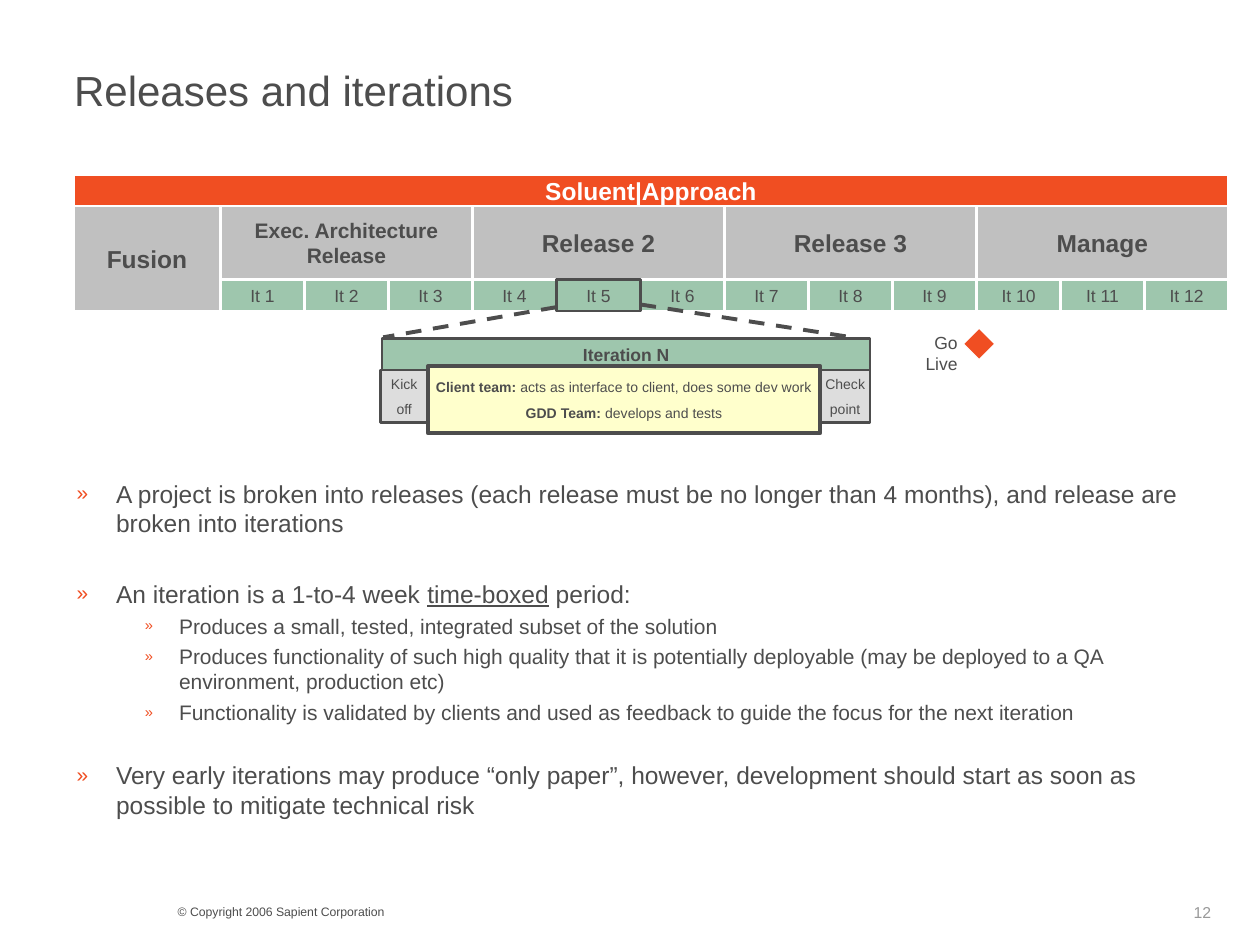
from lxml import etree
from pptx import Presentation
from pptx.dml.color import RGBColor
from pptx.enum.dml import MSO_LINE
from pptx.enum.shapes import MSO_CONNECTOR, MSO_SHAPE
from pptx.enum.text import MSO_ANCHOR, PP_ALIGN
from pptx.oxml.ns import qn
from pptx.util import Pt

RECTANGLE, DIAMOND = MSO_SHAPE.RECTANGLE, MSO_SHAPE.DIAMOND
STRAIGHT, DASH = MSO_CONNECTOR.STRAIGHT, MSO_LINE.DASH
TOP, MIDDLE = MSO_ANCHOR.TOP, MSO_ANCHOR.MIDDLE
LEFT, CENTER, RIGHT = PP_ALIGN.LEFT, PP_ALIGN.CENTER, PP_ALIGN.RIGHT

EMU_PER_PX = 9525
COLORS = {
    "text": "4D4D4D",
    "muted": "999999",
    "white": "FFFFFF",
    "orange": "F04E22",
    "grey": "C0C0C0",
    "pale": "DDDDDD",
    "green": "9EC6AD",
    "yellow": "FFFFCC",
}


def px(*lengths):
    return [length * EMU_PER_PX for length in lengths]


def rgb(name):
    return RGBColor.from_string(COLORS[name])


class SlideBuilder:
    """Holds the text style and the current slide."""

    font_name = "Arial"

    def __init__(self, page):
        self.page = page

    def add_spans(self, paragraph, spans, size, color="text", **formats):
        """Add spans, each a string or a (string, formats) pair."""
        for span in spans:
            words, extra = (span, {}) if isinstance(span, str) else span
            run = paragraph.add_run()
            run.text = words
            values = {"name": self.font_name, "size": Pt(size), **formats, **extra}
            for name, value in values.items():
                setattr(run.font, name, value)
            run.font.color.rgb = rgb(color)

    def fill_frame(self, frame, lines, size, align, anchor, wrap, gap=0,
                   spacing=None, **formats):
        frame.word_wrap = wrap
        frame.vertical_anchor = anchor
        for index, spans in enumerate(lines):
            paragraph = frame.paragraphs[0] if index == 0 else frame.add_paragraph()
            layout = {
                "alignment": align,
                "line_spacing": spacing,
                "space_before": Pt(gap if index else 0),
            }
            for name, value in layout.items():
                setattr(paragraph, name, value)
            self.add_spans(paragraph, spans, size, **formats)

    def text(self, area, words, size, align=LEFT, anchor=TOP, wrap=True, **formats):
        box = self.page.shapes.add_textbox(*px(*area))
        self.fill_frame(box.text_frame, [[words]], size, align, anchor, wrap, **formats)

    def shape(self, area, fill, lines=(), size=10, kind=RECTANGLE, line="white",
              width=1.5, wrap=False, **formats):
        shape = self.page.shapes.add_shape(kind, *px(*area))
        shape.shadow.inherit = False
        shape.fill.solid()
        shape.fill.fore_color.rgb = rgb(fill)
        shape.line.color.rgb = rgb(line)
        shape.line.width = Pt(width)
        self.fill_frame(shape.text_frame, lines, size, CENTER, MIDDLE, wrap, **formats)

    def dashed_line(self, start, end):
        connector = self.page.shapes.add_connector(STRAIGHT, *px(*start, *end))
        connector.line.color.rgb = rgb("text")
        connector.line.width = Pt(2.25)
        connector.line.dash_style = DASH
        properties = connector._element.find(qn("p:spPr"))
        etree.SubElement(properties, qn("a:effectLst"))

    def bullets(self, area, items, levels):
        """Add a bulleted list; each item is (level, space before, spans)."""
        frame = self.page.shapes.add_textbox(*px(*area)).text_frame
        frame.word_wrap = True
        for index, (level, gap, spans) in enumerate(items):
            paragraph = frame.paragraphs[0] if index == 0 else frame.add_paragraph()
            style = levels[level]
            paragraph.level = level
            paragraph.space_before = Pt(gap)
            properties = paragraph._p.get_or_add_pPr()
            margin, hanging = px(style["margin"], style["hanging"])
            properties.set("marL", str(margin))
            properties.set("indent", str(-hanging))
            color = etree.SubElement(properties, qn("a:buClr"))
            etree.SubElement(color, qn("a:srgbClr"), val=COLORS["orange"])
            etree.SubElement(properties, qn("a:buSzPct"), val=str(style["percent"] * 1000))
            etree.SubElement(properties, qn("a:buFont"), typeface=self.font_name)
            etree.SubElement(properties, qn("a:buChar"), char="»")
            self.add_spans(paragraph, spans, style["size"])


def main():
    deck = Presentation()
    deck.slide_width, deck.slide_height = px(960, 720)
    builder = SlideBuilder(deck.slides.add_slide(deck.slide_layouts[6]))

    # Title and footer
    builder.text((47, 42, 865, 53), "Releases and iterations", 24, anchor=MIDDLE)
    builder.text((126, 684, 384, 21), "© Copyright 2006 Sapient Corporation", 7)
    builder.text((900, 683, 72, 23), "12", 9, color="muted")

    # Phase grid
    left, top, row = 56, 133, 24
    fusion_width, release_width, release_height = 112, 192, 56
    iteration_width = release_width // 3
    first_release = left + fusion_width
    release_top = top + row
    iteration_top = release_top + release_height
    releases = [("Exec. Architecture Release", 12), ("Release 2", 14),
                ("Release 3", 14), ("Manage", 14)]
    grid_width = fusion_width + len(releases) * release_width

    builder.shape((left, top, grid_width, row), "orange", [["Soluent|Approach"]], 14,
                  color="white", bold=True)
    builder.shape((left, release_top, fusion_width, release_height + row), "grey",
                  [["Fusion"]], 14, bold=True)
    for index, (name, size) in enumerate(releases):
        area = (first_release + index * release_width, release_top,
                release_width, release_height)
        builder.shape(area, "grey", [[name]], size, wrap=True, bold=True)

    def iteration(number, line="white"):
        area = (first_release + (number - 1) * iteration_width, iteration_top,
                iteration_width, row)
        builder.shape(area, "green", [[f"It {number}"]], line=line)

    expanded = 5
    for number in range(1, 3 * len(releases) + 1):
        if number != expanded:
            iteration(number)

    # Zoom into one iteration
    builder.dashed_line((424, 234), (292, 257))
    builder.dashed_line((488, 232), (649, 257))
    iteration(expanded, line="text")
    detail = {"line": "text", "spacing": 1.01}
    builder.shape((291, 258, 372, 24), "green", [["Iteration N"]], bold=True, **detail)
    for area, words in [((290, 282, 36, 40), ("Kick", "off")),
                        ((625, 282, 38, 40), ("Check", "point"))]:
        builder.shape(area, "pale", [[word] for word in words], 8, gap=5, **detail)
    bold = {"bold": True}
    teams = [
        [("Client team:", bold), " acts as interface to client, does some dev work"],
        [("GDD Team:", bold), " develops and tests"],
    ]
    builder.shape((326, 279, 299, 51), "yellow", teams, 8, width=2.25, gap=5, **detail)

    # Go-live milestone
    builder.shape((734, 250, 24, 24), "orange", kind=DIAMOND, width=0.75)
    builder.text((675, 248, 64, 26), "Go Live", 10, align=RIGHT, wrap=False, spacing=1.01)

    # Explanation
    levels = [
        {"margin": 30, "hanging": 30, "percent": 85, "size": 14},
        {"margin": 78, "hanging": 26, "percent": 70, "size": 12},
    ]
    builder.bullets((49, 360, 863, 335), [
        (0, 0, ["A project is broken into releases (each release must be no longer "
                "than 4 months), and release are broken into iterations"]),
        (0, 23.5, ["An iteration is a 1-to-4 week ", ("time-boxed", {"underline": True}),
                   " period:"]),
        (1, 3, ["Produces a small, tested, integrated subset of the solution"]),
        (1, 3, ["Produces functionality of such high quality that it is potentially "
                "deployable (may be deployed to a QA environment, production etc)"]),
        (1, 3, ["Functionality is validated by clients and used as feedback to guide "
                "the focus for the next iteration"]),
        (0, 20.5, ["Very early iterations may produce “only paper”, however, development "
                   "should start as soon as possible to mitigate technical risk"]),
    ], levels)

    deck.save("out.pptx")


if __name__ == "__main__":
    main()
